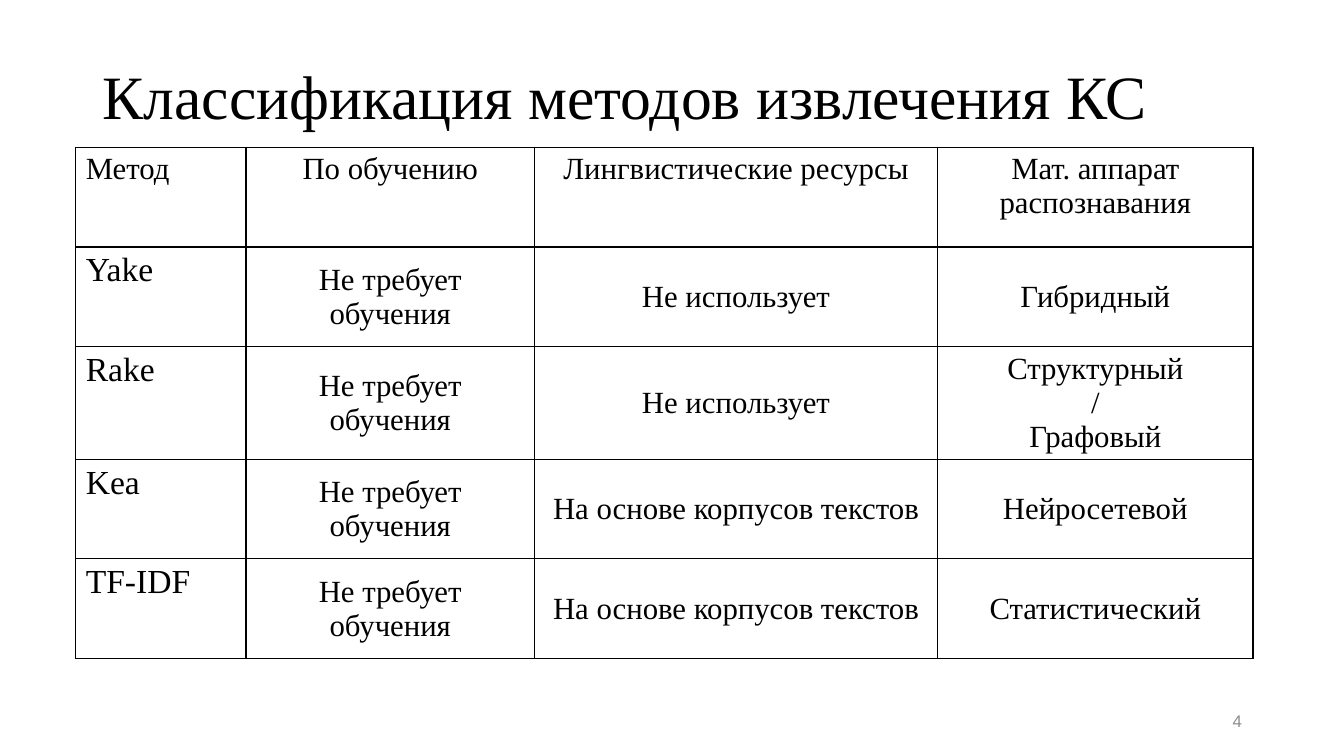
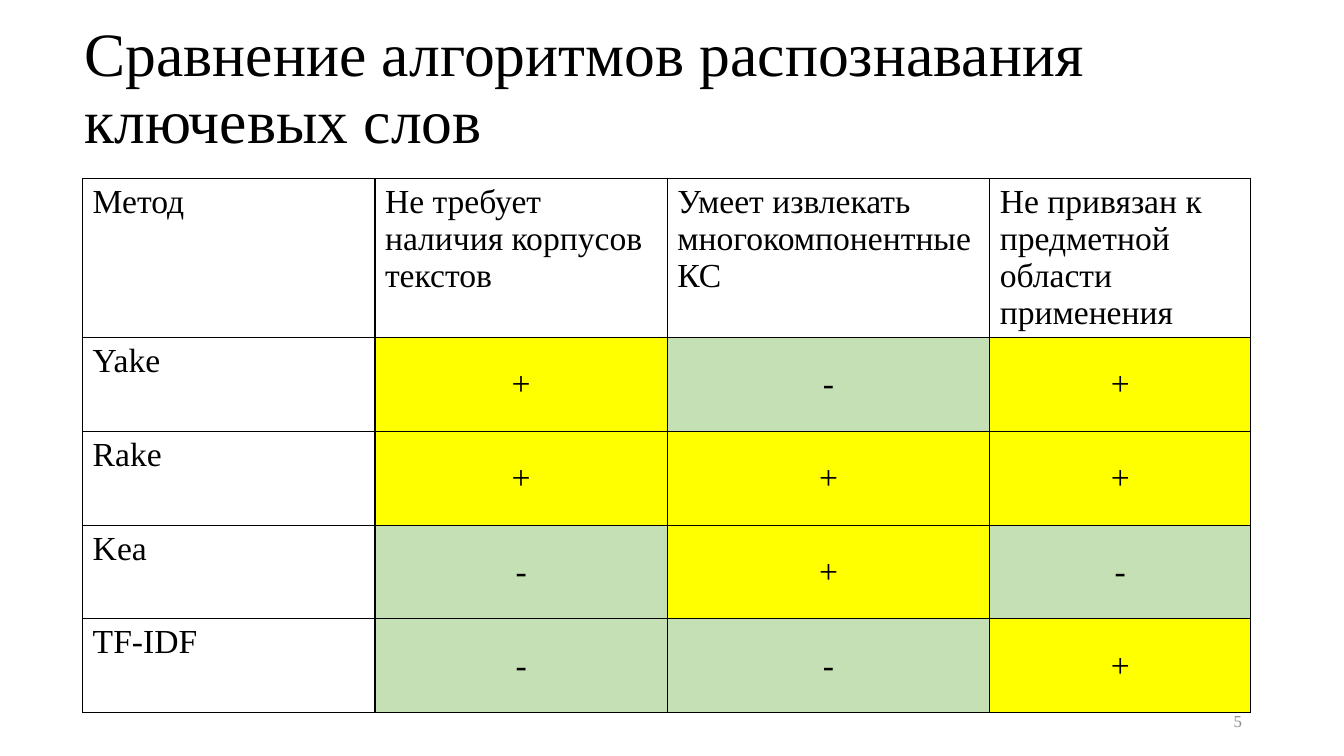
from dataclasses import dataclass

from lxml.etree import SubElement as Sub
from pptx import Presentation as Deck
from pptx.dml.color import RGBColor as Color
from pptx.enum.text import MSO_ANCHOR as Anchor, MSO_AUTO_SIZE as Fit, PP_ALIGN as Align
from pptx.oxml.ns import qn
from pptx.util import Inches, Pt

WIDE, HIGH = Inches(13.333), Inches(7.5)
HUES = {
    "text": "000000",
    "line": "000000",
    "page": "FFFFFF",
    "plus": "FFFF00",
    "minus": "C5E0B4",
    "foot": "8C8C8C",
}
MARKS = {"+": "plus", "-": "minus"}
SERIF, SANS = "Times New Roman", "Arial"
FOOT = (70.65, 92.67, 22.5, 5.33)


@dataclass(frozen=True)
class Grid:
    left: float
    top: float
    cols: tuple[float, ...]
    rows: tuple[float, ...]
    cells: tuple[tuple[str, ...], ...]
    size: int
    centred: bool


@dataclass(frozen=True)
class Page:
    title: str
    box: tuple[float, float, float, float]
    number: str
    font: str
    grid: Grid


NO_NEED = "Не требует обучения"
UNUSED = "Не использует"
CORPUS = "На основе корпусов текстов"

PAGES = (
    Page(
        "Классификация методов извлечения КС", (6.9, 3.47, 86.25, 19.33), "4", SANS,
        Grid(
            5.63, 19.47, (12.68, 21.45, 30, 23.48), (13.2, 13.2, 14.8, 13.2, 13.2),
            (
                ("Метод", "По обучению", "Лингвистические ресурсы", "Мат. аппарат распознавания"),
                ("Yake", NO_NEED, UNUSED, "Гибридный"),
                ("Rake", NO_NEED, UNUSED, "Структурный\n/\nГрафовый"),
                ("Kea", NO_NEED, CORPUS, "Нейросетевой"),
                ("TF-IDF", NO_NEED, CORPUS, "Статистический"),
            ),
            22, True,
        ),
    ),
    Page(
        "Сравнение алгоритмов распознавания ключевых слов", (5.55, 2.27, 88.95, 19.33), "5", SERIF,
        Grid(
            6.15, 23.6, (21.75, 21.75, 24, 19.42), (21.07,) + (12.4,) * 4,
            (
                (
                    "Метод",
                    "Не требует наличия корпусов текстов",
                    "Умеет извлекать многокомпонентные КС",
                    "Не привязан к предметной области применения",
                ),
                ("Yake", "+", "-", "+"),
                ("Rake", "+", "+", "+"),
                ("Kea", "-", "+", "-"),
                ("TF-IDF", "-", "-", "+"),
            ),
            24, False,
        ),
    ),
)


def across(share: float) -> int:
    return round(WIDE * share / 100)


def down(share: float) -> int:
    return round(HIGH * share / 100)


def place(shape, box: tuple[float, float, float, float]) -> None:
    left, top, width, height = box
    shape.left, shape.top = across(left), down(top)
    shape.width, shape.height = across(width), down(height)


def write(frame, text: str, size: int, align, font: str = SERIF, hue: str = "text") -> None:
    for i, line in enumerate(text.split("\n")):
        para = frame.add_paragraph() if i else frame.paragraphs[0]
        para.alignment = align
        run = para.add_run()
        run.text = line
        run.font.name, run.font.size = font, Pt(size)
        run.font.color.rgb = Color.from_string(HUES[hue])


def edge(cell) -> None:
    props = cell._tc.get_or_add_tcPr()
    for side in ("lnL", "lnR", "lnT", "lnB"):
        line = Sub(props, qn(f"a:{side}"), w=str(Pt(1)))
        fill = Sub(line, qn("a:solidFill"))
        Sub(fill, qn("a:srgbClr"), val=HUES["line"])


def add_title(slide, page: Page) -> None:
    title = slide.shapes.title
    place(title, page.box)
    frame = title.text_frame
    frame.word_wrap, frame.auto_size = True, Fit.NONE
    frame.vertical_anchor = Anchor.MIDDLE
    write(frame, page.title, 44, Align.LEFT)
    frame.paragraphs[0].line_spacing = 0.9


def add_grid(slide, grid: Grid) -> None:
    table = slide.shapes.add_table(
        len(grid.rows), len(grid.cols), across(grid.left), down(grid.top),
        across(sum(grid.cols)), down(sum(grid.rows)),
    ).table
    table.first_row = table.horz_banding = False
    for col, share in zip(table.columns, grid.cols):
        col.width = across(share)
    for row, share in zip(table.rows, grid.rows):
        row.height = down(share)
    for r, texts in enumerate(grid.cells):
        for c, text in enumerate(texts):
            cell = table.cell(r, c)
            edge(cell)
            cell.fill.solid()
            cell.fill.fore_color.rgb = Color.from_string(HUES[MARKS.get(text, "page")])
            cell.vertical_anchor = Anchor.MIDDLE if r and c else Anchor.TOP
            align = Align.CENTER if c and (r or grid.centred) else Align.LEFT
            size = 24 if r and not c else grid.size
            write(cell.text_frame, text, size, align)


def add_foot(slide, page: Page) -> None:
    box = slide.shapes.add_textbox(0, 0, 0, 0)
    place(box, FOOT)
    frame = box.text_frame
    frame.word_wrap = True
    frame.vertical_anchor = Anchor.MIDDLE
    write(frame, page.number, 12, Align.RIGHT, page.font, "foot")


def main() -> None:
    deck = Deck()
    deck.slide_width, deck.slide_height = WIDE, HIGH
    for page in PAGES:
        slide = deck.slides.add_slide(deck.slide_layouts[5])
        add_title(slide, page)
        add_grid(slide, page.grid)
        add_foot(slide, page)
    deck.save("out.pptx")


if __name__ == "__main__":
    main()
